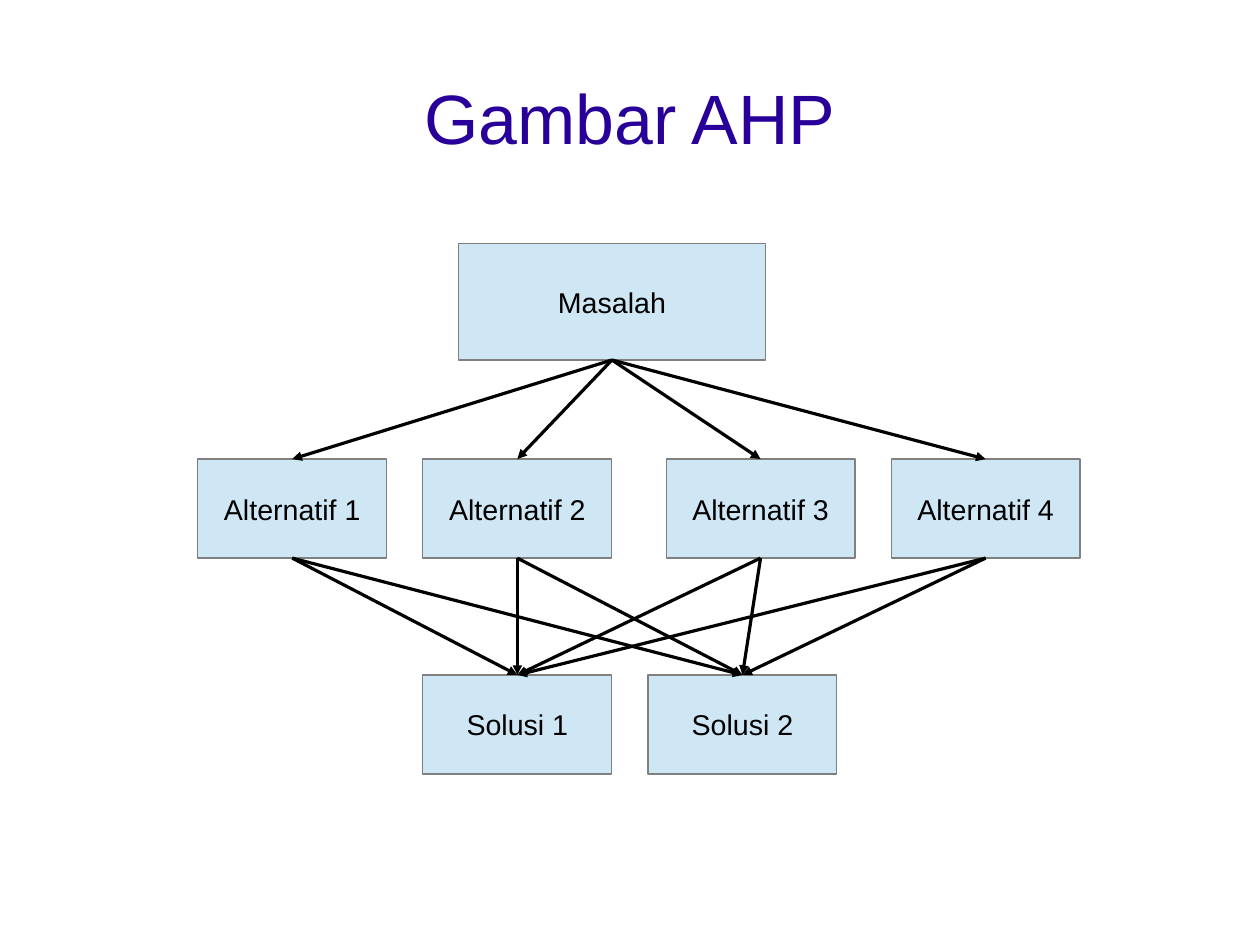
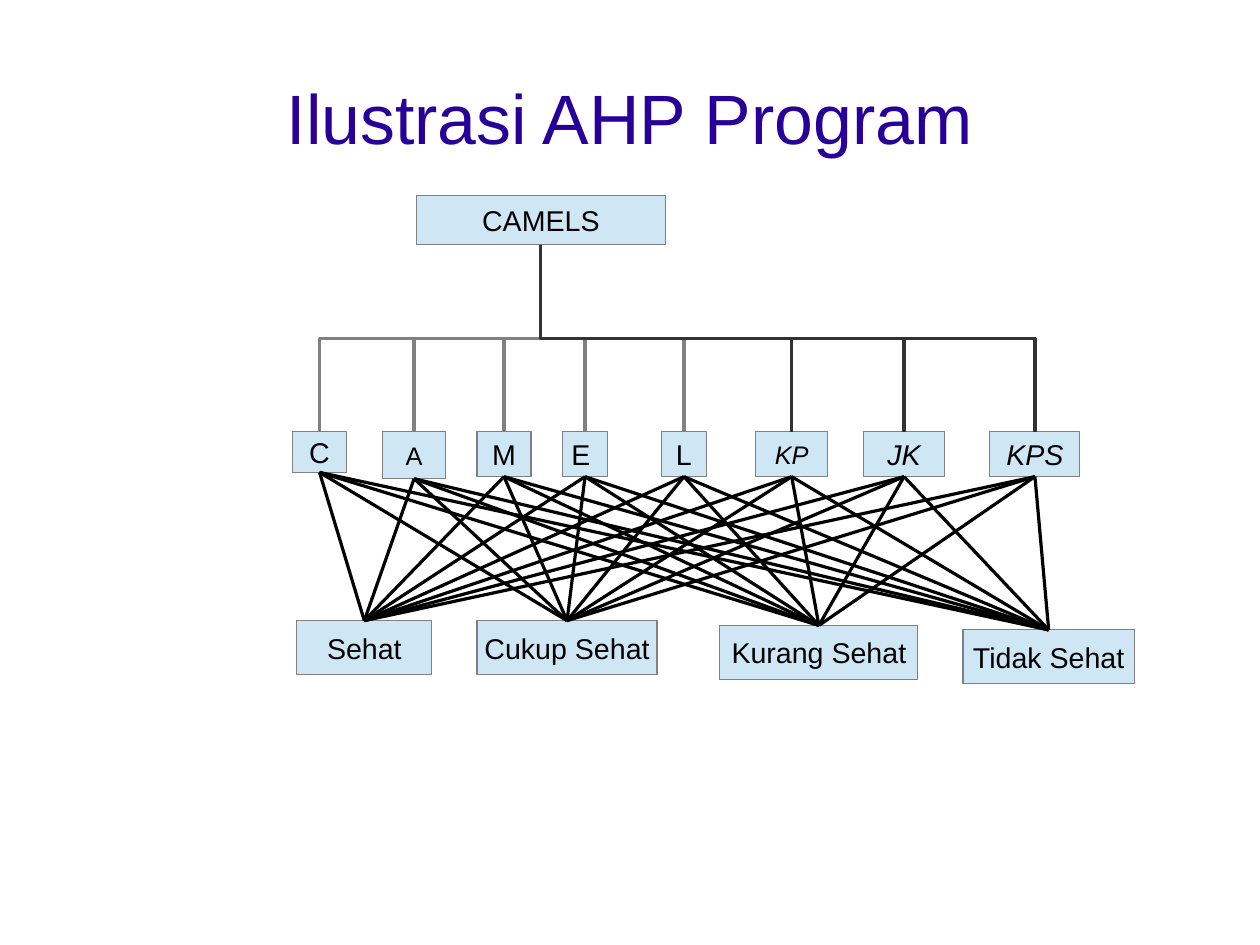
from dataclasses import dataclass
from itertools import product

from pptx import Presentation
from pptx.dml.color import RGBColor
from pptx.enum.shapes import MSO_CONNECTOR, MSO_SHAPE
from pptx.enum.text import MSO_ANCHOR, PP_ALIGN
from pptx.oxml.ns import qn
from pptx.util import Pt

RECTANGLE = MSO_SHAPE.RECTANGLE
STRAIGHT = MSO_CONNECTOR.STRAIGHT
ELBOW = MSO_CONNECTOR.ELBOW
CENTER = PP_ALIGN.CENTER
MIDDLE = MSO_ANCHOR.MIDDLE
TOP, BOTTOM = 0, 2
TITLE_ONLY = 5


@dataclass(frozen=True)
class Theme:
    font: str = "Arial"
    title_size: float = 44
    label_size: float = 18
    small_size: float = 16
    hairline: float = 0
    title: RGBColor = RGBColor(0x28, 0x00, 0x99)
    text: RGBColor = RGBColor(0x00, 0x00, 0x00)
    box: RGBColor = RGBColor(0xCF, 0xE7, 0xF5)
    border: RGBColor = RGBColor(0x80, 0x80, 0x80)
    branch: RGBColor = RGBColor(0x33, 0x33, 0x33)
    link: RGBColor = RGBColor(0x00, 0x00, 0x00)


class Deck:
    def __init__(self, theme):
        self.theme = theme
        self.presentation = Presentation()
        self.presentation.slide_width = Pt(793.7)
        self.presentation.slide_height = Pt(595.3)
        self.slide = None

    def add_slide(self, title):
        layout = self.presentation.slide_layouts[TITLE_ONLY]
        self.slide = self.presentation.slides.add_slide(layout)
        shape = self.slide.shapes.title
        shape.left, shape.top = Pt(39.7), Pt(23.7)
        shape.width, shape.height = Pt(714.3), Pt(99.4)
        frame = shape.text_frame
        frame.margin_left = frame.margin_right = 0
        frame.margin_top = frame.margin_bottom = 0
        frame.word_wrap = True
        self.add_text(frame, title, self.theme.title_size, self.theme.title)

    def add_text(self, frame, text, size, color, italic=False):
        frame.vertical_anchor = MIDDLE
        paragraph = frame.paragraphs[0]
        paragraph.alignment = CENTER
        run = paragraph.add_run()
        run.text = text
        run.font.name = self.theme.font
        run.font.size = Pt(size)
        run.font.color.rgb = color
        run.font.italic = italic

    def box(self, text, left, top, width, height, size=None, italic=False):
        shape = self.slide.shapes.add_shape(
            RECTANGLE, Pt(left), Pt(top), Pt(width), Pt(height))
        shape.shadow.inherit = False
        shape.fill.solid()
        shape.fill.fore_color.rgb = self.theme.box
        shape.line.color.rgb = self.theme.border
        shape.line.width = Pt(self.theme.hairline)
        shape.text_frame.word_wrap = False
        self.add_text(shape.text_frame, text, size or self.theme.label_size,
                      self.theme.text, italic)
        return shape

    def connect(self, kind, upper, lower, color):
        connector = self.slide.shapes.add_connector(kind, 0, 0, 0, 0)
        connector.begin_connect(upper, BOTTOM)
        connector.end_connect(lower, TOP)
        connector.line.color.rgb = color
        connector.line.width = Pt(self.theme.hairline)
        properties = connector._element.spPr
        properties.append(properties.makeelement(qn("a:effectLst"), {}))
        return connector

    def link(self, upper, lower, arrow=False):
        connector = self.connect(STRAIGHT, upper, lower, self.theme.link)
        if arrow:
            line = connector._element.spPr.find(qn("a:ln"))
            line.append(line.makeelement(qn("a:tailEnd"), {"type": "triangle"}))

    def branch(self, upper, lower, color):
        connector = self.connect(ELBOW, upper, lower, color)
        begin_x, begin_y = connector.begin_x, connector.begin_y
        end_x, end_y = connector.end_x, connector.end_y
        across, down = abs(end_x - begin_x), end_y - begin_y
        connector.left = (begin_x + end_x - down) // 2
        connector.top = (begin_y + end_y - across) // 2
        connector.width, connector.height = down, across
        rightward = end_x > begin_x
        transform = connector._element.spPr.find(qn("a:xfrm"))
        transform.set("rot", "16200000" if rightward else "5400000")
        transform.set("flipH", "1" if rightward else "0")


def add_hierarchy(deck):
    deck.add_slide("Gambar AHP")
    width, height, step = 119, 62.4, 141.8
    problem = deck.box("Masalah", 289, 153.2, 193, 73.6)
    pairs = (124.6, 419.6)
    alternatives = [
        deck.box(f"Alternatif {number}", left, 289.2, width, height)
        for number, left in enumerate(
            (start + offset for start, offset in product(pairs, (0, step))), 1)]
    solutions = [
        deck.box(f"Solusi {index + 1}", 266.4 + index * step, 425.2, width, height)
        for index in range(2)]
    for alternative in alternatives:
        deck.link(problem, alternative, arrow=True)
    for alternative, solution in product(alternatives, solutions):
        deck.link(alternative, solution, arrow=True)


def add_illustration(deck):
    theme = deck.theme
    deck.add_slide("Ilustrasi AHP Program")
    root = deck.box("CAMELS", 262.2, 123, 157, 31.2)
    normal, small = theme.label_size, theme.small_size
    criteria_top = 272
    criteria = [
        deck.box(text, left, criteria_top, width, height, size, italic)
        for text, left, width, height, size, italic in (
            ("C", 184.3, 34, 25.6, normal, False),
            ("A", 241, 39.7, 29.6, small, False),
            ("M", 300.5, 34, 28.3, normal, False),
            ("E ", 354.4, 28.3, 28.3, normal, False),
            ("L", 416.7, 28.3, 28.3, normal, False),
            ("KP", 476, 45.4, 28.3, small, True),
            ("JK", 544, 51, 28.3, normal, True),
            ("KPS", 623.6, 56.7, 28.3, normal, True))]
    ratings = [
        deck.box(text, left, top, width, 34)
        for text, left, top, width in (
            ("Sehat", 187, 391, 85),
            ("Cukup Sehat", 300.5, 391, 113.4),
            ("Kurang Sehat", 453.5, 394, 124.7),
            ("Tidak Sehat", 606.6, 396.8, 108))]
    for index, criterion in enumerate(criteria):
        deck.branch(root, criterion, theme.border if index < 5 else theme.branch)
    for criterion, rating in product(criteria, ratings):
        deck.link(criterion, rating)


def main():
    deck = Deck(Theme())
    add_hierarchy(deck)
    add_illustration(deck)
    deck.presentation.save("out.pptx")


if __name__ == "__main__":
    main()
